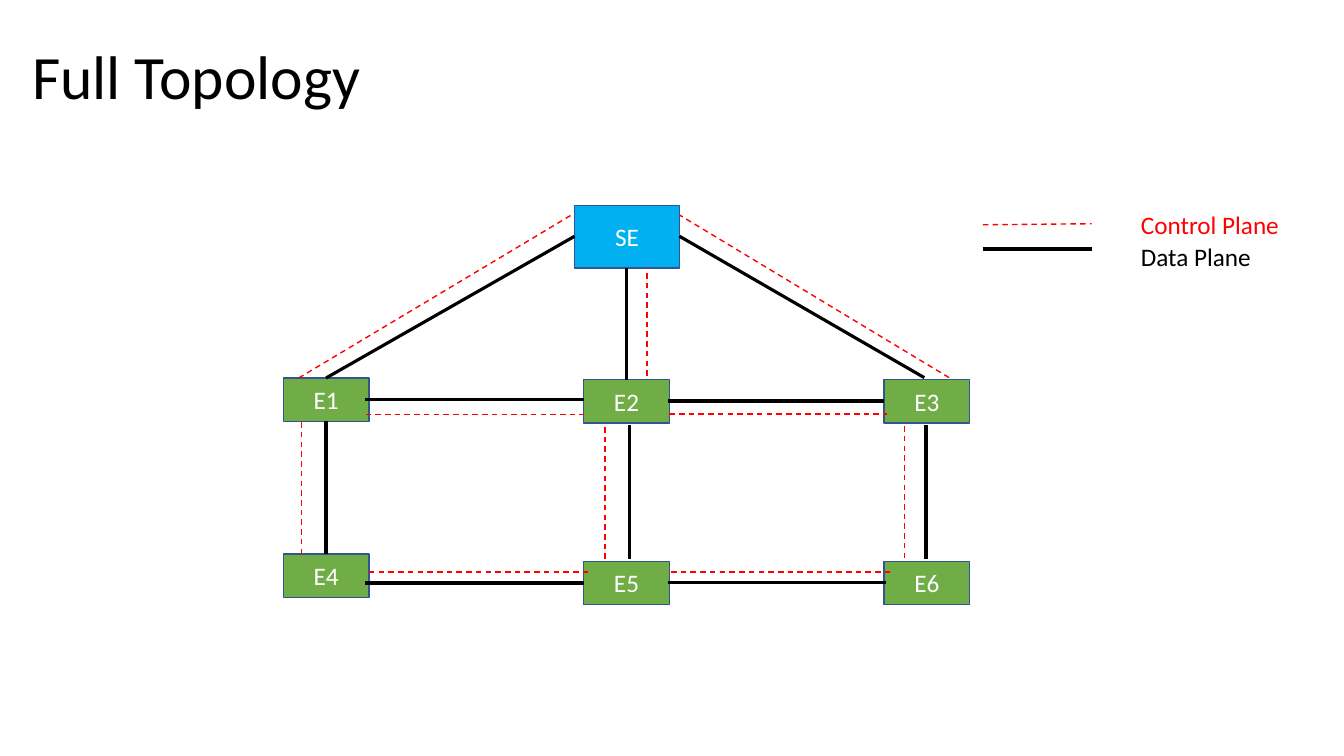
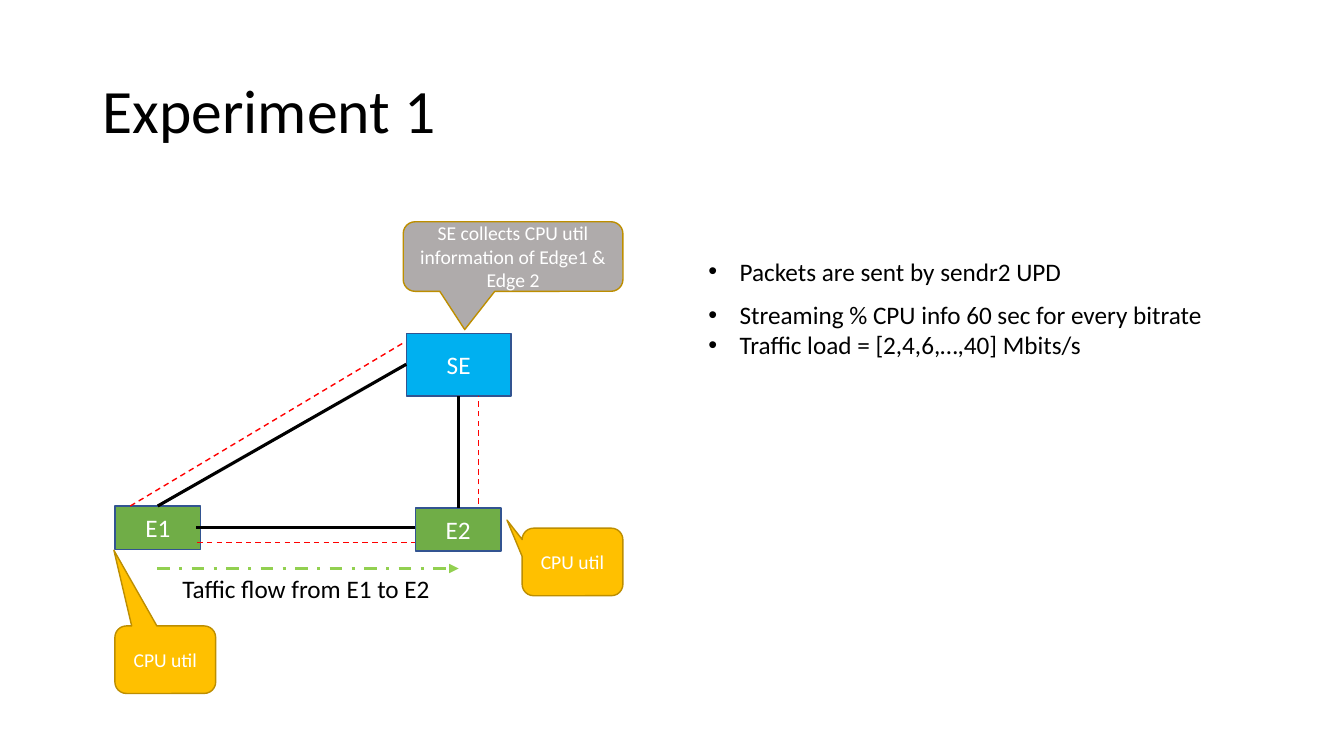
import dataclasses

import lxml.etree
import pptx
import pptx.dml.color
import pptx.enum.dml
import pptx.enum.shapes
import pptx.enum.text
import pptx.oxml.ns
import pptx.util

SHAPES = pptx.enum.shapes.MSO_SHAPE
DASHES = pptx.enum.dml.MSO_LINE
ANCHORS = pptx.enum.text.MSO_ANCHOR
ALIGN = pptx.enum.text.PP_ALIGN


@dataclasses.dataclass(frozen=True)
class Theme:
    """Colours, type sizes and line widths shared by the slides."""
    font: str = "Calibri"
    ink: str = "000000"
    paper: str = "FFFFFF"
    server: str = "00B0F0"
    edge: str = "70AD47"
    node_line: str = "325491"
    control: str = "FF0000"
    flow: str = "92D050"
    usage: str = "FFC000"
    collector: str = "AFABAB"
    callout_line: str = "BD8E00"
    title_size: float = 44
    body_size: float = 18
    callout_size: float = 14
    thin: float = 1
    thick: float = 2.25


THEME = Theme()


@dataclasses.dataclass(frozen=True)
class Box:
    """A region measured in grid cells."""
    left: float
    top: float
    width: float
    height: float

    def point(self, across, down):
        """Return the point at the given shares of the box."""
        return self.left + across * self.width, self.top + down * self.height

    def inside(self, columns, rows, width, height):
        """Return a region offset from the top left corner."""
        return Box(self.left + columns, self.top + rows, width, height)

    def emu(self):
        """Return left, top, width and height as slide lengths."""
        return [cells(n) for n in (self.left, self.top, self.width, self.height)]


PAGE = Box(0, 0, 133.33, 75)
COLUMN, ROW = 29.8, 18
SNAP = 0.3
NODE_PLACES = {
    "SE": (0.97, 0),
    "E1": (0, 0.95), "E2": (1, 0.96), "E3": (2, 0.96),
    "E4": (0, 1.92), "E5": (1, 1.96), "E6": (2, 1.96),
}
LINKS = [
    ("E1", "SE", ((0.5, 0), (0, 0.49)), ((0.18, 0), (-0.03, 0.15))),
    ("E2", "SE", ((0.5, 0), (0.5, 1)), ((0.74, -0.09), (0.69, 1))),
    ("E3", "SE", ((0.47, -0.05), (1, 0.49)), ((0.76, -0.05), (1, 0.15))),
    ("E1", "E2", ((0.95, 0.49), (0, 0.44)), ((0.96, 0.84), (0, 0.79))),
    ("E2", "E3", ((0.98, 0.49), (0, 0.49)), ((1, 0.79), (0.04, 0.79))),
    ("E4", "E5", ((0.95, 0.67), (0, 0.5)), ((1, 0.42), (0.05, 0.25))),
    ("E5", "E6", ((0.98, 0.5), (0.02, 0.5)), ((1.02, 0.25), (0.08, 0.25))),
    ("E1", "E4", ((0.5, 1), (0.5, 0)), ((0.21, 1.02), (0.21, 0))),
    ("E2", "E5", ((0.54, 1.05), (0.54, -0.05)), ((0.25, 1.09), (0.25, -0.05))),
    ("E3", "E6", ((0.49, 1.05), (0.52, -0.05)), ((0.24, 1.07), (0.26, -0.07))),
]


def cells(count):
    """Convert grid cells, ten to the inch, to a slide length."""
    return pptx.util.Inches(count / 10)


def rgb(value):
    """Return a colour from its hex value."""
    return pptx.dml.color.RGBColor.from_string(value)


def add_xml(parent, tag, **attributes):
    """Append a drawing element to its parent."""
    return lxml.etree.SubElement(parent, pptx.oxml.ns.qn(tag), attributes)


def style_text(paragraph, size, colour):
    """Set the font of a whole paragraph."""
    paragraph.font.name = THEME.font
    paragraph.font.size = pptx.util.Pt(size)
    paragraph.font.color.rgb = rgb(colour)


def add_label(slide, box, lines, colour=THEME.ink, bulleted=False):
    """Add unwrapped body text, with bullets if asked."""
    frame = slide.shapes.add_textbox(*box.emu()).text_frame
    frame.word_wrap = False
    frame.text = "\n".join(lines)
    for paragraph in frame.paragraphs:
        style_text(paragraph, THEME.body_size, colour)
        if bulleted:
            properties = paragraph._p.get_or_add_pPr()
            indent = cells(3.1)
            properties.set("marL", str(indent))
            properties.set("indent", str(-indent))
            add_xml(properties, "a:buFont", typeface="Arial")
            add_xml(properties, "a:buChar", char="•")


def add_title(slide, box, wording):
    """Add the slide title."""
    frame = slide.shapes.add_textbox(*box.emu()).text_frame
    frame.word_wrap = True
    frame.vertical_anchor = ANCHORS.MIDDLE
    frame.text = wording
    frame.paragraphs[0].line_spacing = 0.9
    style_text(frame.paragraphs[0], THEME.title_size, THEME.ink)


def add_panel(slide, preset, box, wording, fill, outline, size):
    """Add a filled shape with centred white text."""
    panel = slide.shapes.add_shape(preset, *box.emu())
    panel.shadow.inherit = False
    panel.fill.solid()
    panel.fill.fore_color.rgb = rgb(fill)
    panel.line.color.rgb = rgb(outline)
    panel.line.width = pptx.util.Pt(THEME.thin)
    frame = panel.text_frame
    frame.word_wrap = True
    frame.vertical_anchor = ANCHORS.MIDDLE
    frame.text = wording
    frame.paragraphs[0].alignment = ALIGN.CENTER
    style_text(frame.paragraphs[0], size, THEME.paper)
    return panel


def add_callout(slide, box, wording, fill, tip):
    """Add a speech bubble whose tip is in shares of its size."""
    bubble = add_panel(slide, SHAPES.ROUNDED_RECTANGULAR_CALLOUT, box, wording,
                       fill, THEME.callout_line, THEME.callout_size)
    for index, value in enumerate((*tip, 0.17)):
        bubble.adjustments[index] = value


def add_line(slide, start, end, colour, width, dash=None):
    """Add a straight line between two grid points."""
    line = slide.shapes.add_connector(
        pptx.enum.shapes.MSO_CONNECTOR.STRAIGHT,
        *(cells(n) for n in (*start, *end)))
    line.line.color.rgb = rgb(colour)
    line.line.width = pptx.util.Pt(width)
    if dash:
        line.line.dash_style = dash
    add_xml(line._element.spPr, "a:effectLst")
    return line


def add_data_line(slide, start, end):
    """Add a data plane line."""
    add_line(slide, start, end, THEME.ink, THEME.thick)


def add_control_line(slide, start, end):
    """Add a control plane line."""
    add_line(slide, start, end, THEME.control, THEME.thin, DASHES.DASH)


def straighten(start, end):
    """Return the end, made level or plumb with a start it nearly meets."""
    return [a if abs(a - b) < SNAP else b for a, b in zip(start, end)]


def add_topology(slide, box, names):
    """Draw the named nodes and both planes of every link among them."""
    nodes = {}
    for name in names:
        column, row = NODE_PLACES[name]
        is_server = name == "SE"
        width, height = (10.4, 6.2) if is_server else (8.5, 4.3)
        nodes[name] = box.inside(column * COLUMN, row * ROW, width, height)
        add_panel(slide, SHAPES.RECTANGLE, nodes[name], name,
                  THEME.server if is_server else THEME.edge,
                  THEME.node_line, THEME.body_size)
    for first, second, data, control in LINKS:
        if first in nodes and second in nodes:
            for draw, (leave, arrive) in ((add_data_line, data),
                                          (add_control_line, control)):
                start = nodes[first].point(*leave)
                end = nodes[second].point(*arrive)
                draw(slide, start, straighten(start, end))


def add_legend(slide, box):
    """Explain the two kinds of line."""
    entries = [
        ("Control Plane", THEME.control, add_control_line, 1.9, 0.1, 0, 15.9),
        ("Data Plane", THEME.ink, add_data_line, 4.4, 0, 3.1, 13)]
    for wording, colour, draw, line_row, drop, label_row, width in entries:
        sample = box.inside(0, line_row, 10.8, drop)
        draw(slide, sample.point(0, 1), sample.point(1, 0))
        add_label(slide, box.inside(14.7, label_row, width, 4), [wording], colour)


def add_traffic(slide, box):
    """Show the traffic flow and the usage callouts around the topology."""
    route = box.inside(4.2, 23.3, 29.9, 0)
    arrow = add_line(slide, route.point(0, 0), route.point(1, 0),
                     THEME.flow, THEME.thick, DASHES.DASH_DOT)
    add_xml(arrow.line._get_or_add_ln(), "a:tailEnd", type="triangle")
    add_label(slide, box.inside(5.7, 23.3, 26.9, 4),
              ["Taffic flow from E1 to E2"])
    for columns, rows, tip in ((40.4, 19.3, (-0.65, -0.62)),
                               (0, 29, (-0.51, -1.62))):
        add_callout(slide, box.inside(columns, rows, 10, 6.7),
                    "CPU util", THEME.usage, tip)
    add_callout(slide, box.inside(28.6, -11.1, 21.8, 6.9),
                "SE collects CPU util information of Edge1 & Edge 2",
                THEME.collector, (-0.22, 1.05))


def add_setup(slide, box):
    """List the settings of the experiment."""
    add_label(slide, box.inside(0, 0, 37, 4),
              ["Packets are sent by sendr2 UPD"], bulleted=True)
    add_label(slide, box.inside(0, 4.3, 51.5, 7.1),
              ["Streaming % CPU info 60 sec for every bitrate",
               "Traffic load = [2,4,6,…,40] Mbits/s"], bulleted=True)


def build_full_topology(slide, page):
    """Build the slide with every node."""
    add_title(slide, page.inside(2.2, 0.6, 115, 14.5), "Full Topology")
    add_topology(slide, page.inside(28.1, 20.4, 68.2, 39.5), NODE_PLACES)
    add_legend(slide, page.inside(97.5, 20.3, 30.6, 7.1))


def build_experiment(slide, page):
    """Build the slide with the first experiment."""
    add_title(slide, page.inside(9.2, 4, 115, 14.5), "Experiment 1")
    network = page.inside(11.4, 33.1, 50.4, 35.7)
    add_topology(slide, network, ("SE", "E1", "E2"))
    add_traffic(slide, network)
    add_setup(slide, page.inside(69.3, 24.9, 51.5, 11.4))


def main():
    """Build and save the presentation."""
    deck = pptx.Presentation()
    deck.slide_width, deck.slide_height = cells(PAGE.width), cells(PAGE.height)
    for build in (build_full_topology, build_experiment):
        build(deck.slides.add_slide(deck.slide_layouts[6]), PAGE)
    deck.save("out.pptx")


main()
